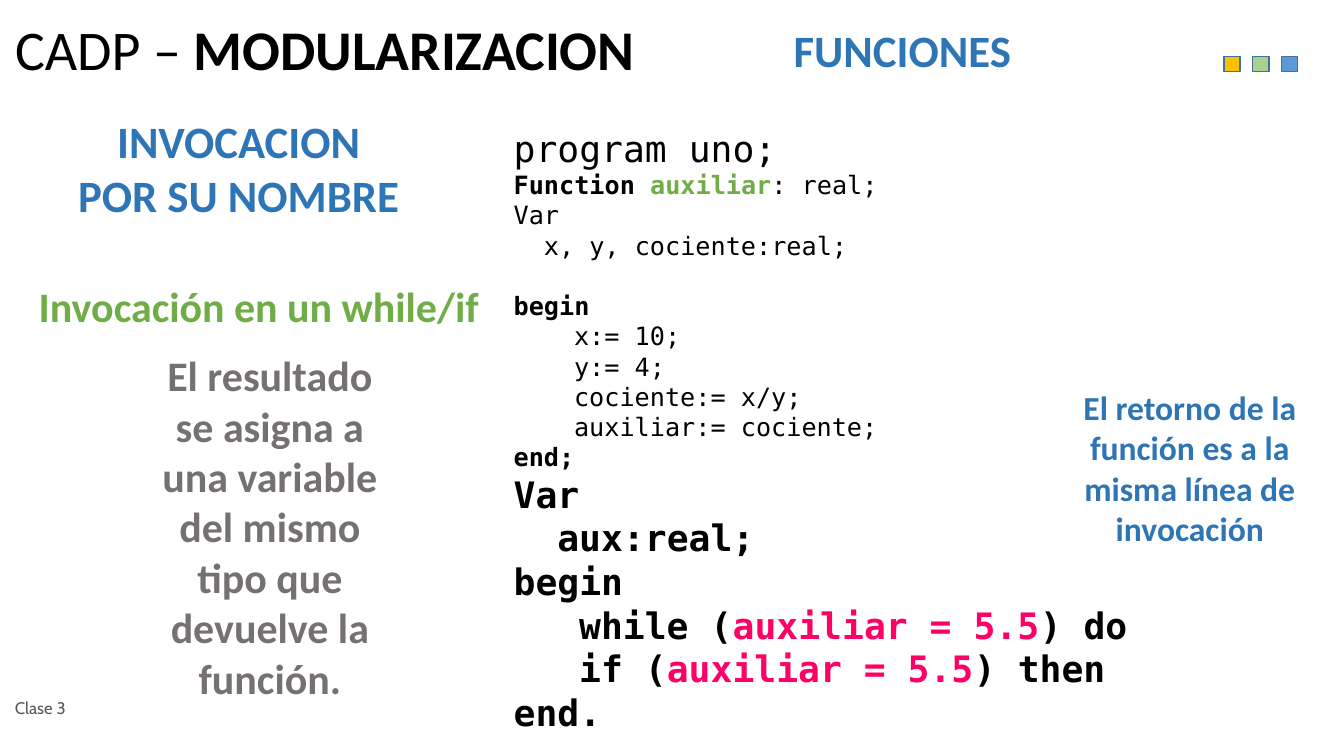
"""Build the slide on calling a function by its name."""
from pptx import Presentation
from pptx.dml.color import RGBColor
from pptx.enum.shapes import MSO_SHAPE
from pptx.enum.text import MSO_ANCHOR, PP_ALIGN
from pptx.util import Inches, Pt

COLORS = {
    "black": "000000", "blue": "2E75B6", "green": "70AD47", "gray": "767171",
    "dark": "595959", "pink": "FF0066", "edge": "41719C",
    "gold": "FFC000", "lime": "A9D18E", "sky": "5B9BD5",
}
MONO = "DejaVu Sans Mono"


def style(run, size, color, bold, face="Calibri"):
    run.font.name = face
    run.font.size = Pt(size)
    run.font.bold = bold
    run.font.color.rgb = RGBColor.from_string(COLORS[color])


def add_label(text, place, size, color, align, bold=True, face="Calibri"):
    box = slide.shapes.add_textbox(*map(Inches, place))
    box.text_frame.word_wrap = True
    box.text_frame.text = text
    for para in box.text_frame.paragraphs:
        para.alignment = align
        for run in para.runs:
            style(run, size, color, bold, face)
    return box


deck = Presentation()
deck.slide_width = Inches(13.34)
deck.slide_height = Inches(7.5)
slide = deck.slides.add_slide(deck.slide_layouts[5])

title = slide.shapes.title
title.left, title.top = Inches(0.05), Inches(0.14)
title.width, title.height = Inches(9.29), Inches(0.76)
title.text_frame.vertical_anchor = MSO_ANCHOR.MIDDLE
head = title.text_frame.paragraphs[0]
head.alignment = PP_ALIGN.LEFT
head.line_spacing = 0.9
for text, bold in [("CADP – ", False), ("MODULARIZACION", True)]:
    run = head.add_run()
    run.text = text
    style(run, 40, "black", bold)

LABELS = [
    ("FUNCIONES", (7.78, 0.18, 3.7, 0.64), 32, "blue", PP_ALIGN.LEFT),
    ("INVOCACION\nPOR SU NOMBRE", (0.52, 1.08, 3.7, 1.17), 32, "blue", PP_ALIGN.CENTER),
    ("Invocación en un while/if", (-0.07, 2.73, 5.28, 0.6), 30, "green", PP_ALIGN.CENTER),
    ("El resultado se asigna a una variable del mismo tipo que devuelve la función.",
     (1.45, 3.42, 2.46, 3.6), 30, "gray", PP_ALIGN.CENTER),
    ("El retorno de la función es a la misma línea de invocación",
     (10.58, 3.79, 2.46, 1.7), 24, "blue", PP_ALIGN.CENTER),
]
for label in LABELS:
    add_label(*label)

foot = add_label("Clase 3", (0.05, 6.82, 2.33, 0.4), 12, "dark", PP_ALIGN.LEFT, False, "Cabin")
foot.text_frame.vertical_anchor = MSO_ANCHOR.MIDDLE

for step, color in enumerate(["gold", "lime", "sky"]):
    square = slide.shapes.add_shape(
        MSO_SHAPE.RECTANGLE, Inches(12.15 + 0.285 * step), Inches(0.56), Inches(0.16), Inches(0.15))
    square.shadow.inherit = False
    square.fill.solid()
    square.fill.fore_color.rgb = RGBColor.from_string(COLORS[color])
    square.line.color.rgb = RGBColor.from_string(COLORS["edge"])
    square.line.width = Pt(1)

TEST = ("auxiliar = 5.5", "pink", True)
CODE = [
    (26, 0, [("program uno;", "black", False)]),
    (18, 0, [("Function ", "black", True), ("auxiliar", "green", True), (": real;", "black", False)]),
    (18, 0, [("Var", "black", False)]),
    (18, 2, [("x, y, cociente:real;", "black", False)]),
    (18, 0, [("begin", "black", True)]),
    (18, 4, [("x:= 10;", "black", False)]),
    (18, 4, [("y:= 4;", "black", False)]),
    (18, 4, [("cociente:= x/y;", "black", False)]),
    (18, 4, [("auxiliar:= cociente;", "black", False)]),
    (18, 0, [("end;", "black", True)]),
    (26, 0, [("Var", "black", True)]),
    (26, 2, [("aux:real;", "black", True)]),
    (26, 0, [("begin", "black", True)]),
    (26, 3, [("while (", "black", True), TEST, (") do", "black", True)]),
    (26, 3, [("if (", "black", True), TEST, (") then", "black", True)]),
    (26, 0, [("end.", "black", True)]),
]
frame = slide.shapes.add_textbox(Inches(5), Inches(1.2), Inches(6.5), Inches(6.13)).text_frame
frame.word_wrap = True
for row, (size, indent, parts) in enumerate(CODE):
    para = frame.add_paragraph() if row else frame.paragraphs[0]
    props = para._p.get_or_add_pPr()
    props.set("marL", str(Pt(0.6 * size * indent)))
    props.set("indent", "0")
    if row == 4:
        para.space_before = Pt(21.6)
    for text, color, bold in parts:
        run = para.add_run()
        run.text = text
        style(run, size, color, bold, MONO)

deck.save("out.pptx")
